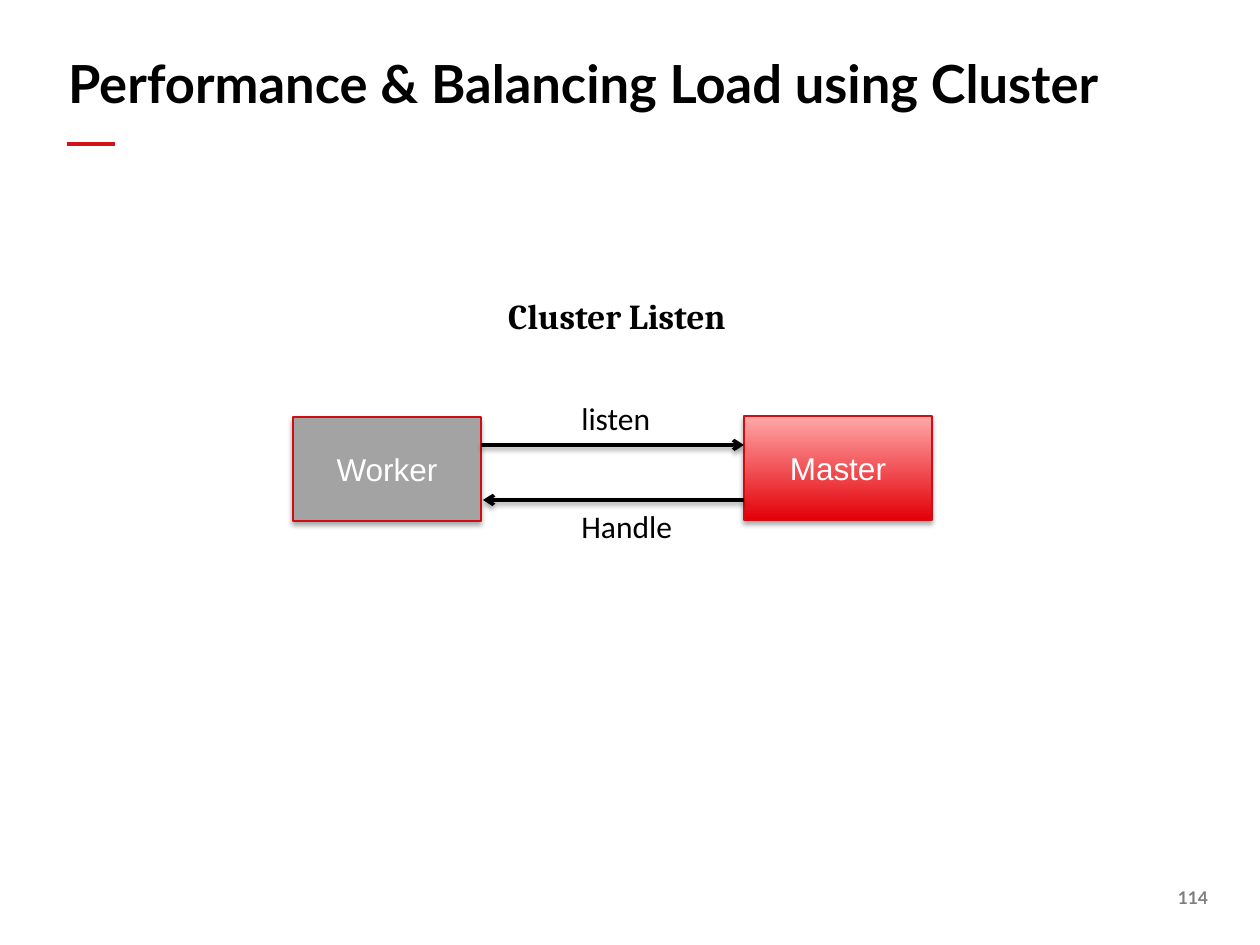
from lxml import etree
from pptx import Presentation
from pptx import util as u
from pptx.dml.color import RGBColor
from pptx.enum import shapes, text
from pptx.oxml.ns import qn

BLACK = RGBColor(0x00, 0x00, 0x00)
WHITE = RGBColor(0xFF, 0xFF, 0xFF)
PAGE_GRAY = RGBColor(0x7F, 0x7F, 0x7F)
ACCENT_RED = RGBColor(0xD2, 0x11, 0x18)
BORDER_RED = RGBColor(0xD2, 0x0C, 0x13)
WORKER_GRAY = RGBColor(0xA3, 0xA3, 0xA3)
MASTER_DARK = RGBColor(0xE3, 0x00, 0x08)
MASTER_LIGHT = RGBColor(0xFF, 0xA8, 0xA8)

PX_PER_INCH = 126


def px(length):
    return u.Emu(round(length * u.Inches(1) / PX_PER_INCH))


def box_px(*box):
    return [px(length) for length in box]


def write(frame, words, font, size, color, bold=False, align=text.PP_ALIGN.LEFT):
    paragraph = frame.paragraphs[0]
    paragraph.alignment = align
    run = paragraph.add_run()
    run.text = words
    run.font.name = font
    run.font.size = u.Pt(size)
    run.font.bold = bold
    run.font.color.rgb = color
    return paragraph


def clear_margins(frame):
    frame.margin_left = frame.margin_right = 0
    frame.margin_top = frame.margin_bottom = 0


def add_label(slide, box, words, *style, margins=False, **options):
    label = slide.shapes.add_textbox(*box_px(*box))
    label.text_frame.word_wrap = True
    if not margins:
        clear_margins(label.text_frame)
    return write(label.text_frame, words, *style, **options)


def drop_shadow(properties, opacity, distance):
    """Fill the effect list of a shape or connector with a soft shadow."""
    effects = properties.find(qn("a:effectLst"))
    if effects is None:
        effects = etree.SubElement(properties, qn("a:effectLst"))
    shadow = etree.SubElement(
        effects, qn("a:outerShdw"), blurRad=str(u.Pt(3.1)),
        dist=str(u.Pt(distance)), dir="5400000", rotWithShape="0")
    color = etree.SubElement(shadow, qn("a:srgbClr"), val=str(BLACK))
    etree.SubElement(color, qn("a:alpha"), val=str(opacity * 1000))


def add_rule(slide, start, end, color, width):
    rule = slide.shapes.add_connector(
        shapes.MSO_CONNECTOR.STRAIGHT, *box_px(*start, *end))
    rule.line.color.rgb = color
    rule.line.width = u.Pt(width)
    etree.SubElement(rule._element.spPr, qn("a:effectLst"))
    return rule


def add_arrow(slide, start, end):
    arrow = add_rule(slide, start, end, BLACK, 2)
    etree.SubElement(arrow.line._get_or_add_ln(), qn("a:tailEnd"), type="arrow")
    drop_shadow(arrow._element.spPr, 38, 1.6)


def add_node(slide, box, name):
    node = slide.shapes.add_shape(shapes.MSO_SHAPE.RECTANGLE, *box_px(*box))
    node.line.color.rgb = BORDER_RED
    node.line.width = u.Pt(0.75)
    node.shadow.inherit = False
    drop_shadow(node._element.spPr, 35, 1.8)
    node.text_frame.vertical_anchor = text.MSO_ANCHOR.MIDDLE
    write(node.text_frame, name, "Arial", 18, WHITE, align=text.PP_ALIGN.CENTER)
    return node


def add_heading(slide, left, top, width, height):
    title = slide.shapes.title
    title.left, title.top, title.width, title.height = box_px(left, top, width, height)
    frame = title.text_frame
    frame.word_wrap = True
    frame.auto_size = text.MSO_AUTO_SIZE.NONE
    frame.vertical_anchor = text.MSO_ANCHOR.BOTTOM
    clear_margins(frame)
    write(frame, "Performance & Balancing Load using Cluster",
          "Lato", 30, BLACK, bold=True).line_spacing = 0.9
    # Short accent rule under the title
    rule_y = top + height + 29
    add_rule(slide, (left - 1, rule_y), (left + 47, rule_y), ACCENT_RED, 2.75)


def add_cluster_diagram(slide, left, top, width, height):
    node_width = 188
    worker_right = left + node_width
    master_left = left + width - node_width

    # Diagram caption
    add_label(slide, (left + 215, top - 122, 260, 42), "Cluster Listen",
              "Cambria", 20, BLACK, bold=True)

    # Worker and master processes
    worker = add_node(slide, (left, top + 1, node_width, height), "Worker")
    worker.fill.solid()
    worker.fill.fore_color.rgb = WORKER_GRAY
    master = add_node(slide, (master_left, top, node_width, height), "Master")
    master.fill.gradient()
    master.fill.gradient_angle = 90
    for stop, color in zip(master.fill.gradient_stops, (MASTER_DARK, MASTER_LIGHT)):
        stop.color.rgb = color

    # Request and response
    listen_y, handle_y = top + 29, top + 84
    add_arrow(slide, (worker_right, listen_y), (master_left, listen_y))
    add_arrow(slide, (master_left, handle_y), (worker_right + 2, handle_y))
    for words, y, label_width in (("listen", top - 23, 102), ("Handle", top + 85, 135)):
        add_label(slide, (left + 276, y, label_width, 50), words,
                  "Calibri", 18, BLACK, margins=True)


def add_page_number(slide, *box):
    number = add_label(slide, box, "114", "Lato", 10, PAGE_GRAY,
                       bold=True, align=text.PP_ALIGN.RIGHT)
    number.line_spacing = 1.01


def main():
    deck = Presentation()
    deck.slide_width, deck.slide_height = box_px(1260, 945)
    slide = deck.slides.add_slide(deck.slide_layouts.get_by_name("Title Only"))
    add_heading(slide, 68, 57, 1125, 58)
    add_cluster_diagram(slide, 293, 416, 639, 104)
    add_page_number(slide, 1165, 887, 43, 22)
    deck.save("out.pptx")


if __name__ == "__main__":
    main()
